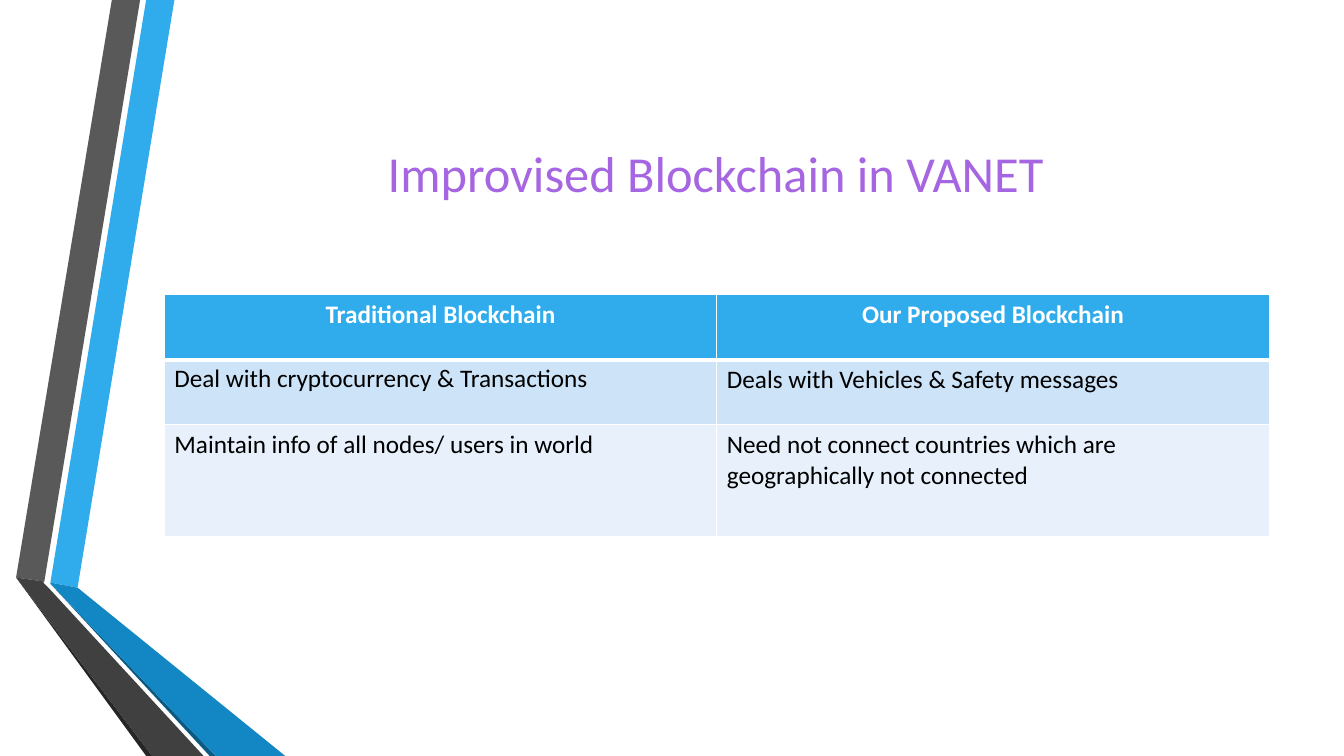
from lxml.etree import SubElement
from pptx import Presentation
from pptx.dml.color import RGBColor
from pptx.enum.text import MSO_ANCHOR as Anchor, MSO_AUTO_SIZE as AutoSize, PP_ALIGN as Align
from pptx.oxml.ns import qn
from pptx.util import Inches, Pt

COLORS = {
    "white": "FFFFFF", "black": "000000", "purple": "A666E1",
    "blue": "30ACEC", "deep_blue": "1287C3", "navy": "0C5A82",
    "gray": "595959", "dark_gray": "404040", "charcoal": "262626",
    "band": "CDE3F8", "pale_band": "E8F1FB",
}

RIBBONS = [
    ("blue", [(0.5, 5.78), (0.77, 5.83), (1.73, 0), (1.45, 0)]),
    ("gray", [(1.39, 0), (1.11, 0), (0.16, 5.73), (0.44, 5.77)]),
    ("charcoal", [(0.16, 5.73), (1.45, 7.5), (1.51, 7.5)]),
    ("navy", [(0.5, 5.79), (2.08, 7.5), (2.14, 7.5)]),
    ("deep_blue", [(0.5, 5.78), (0.5, 5.79), (2.14, 7.5), (2.83, 7.5), (0.77, 5.83)]),
    ("dark_gray", [(2.02, 7.5), (0.48, 5.83), (0.43, 5.78), (0.44, 5.77),
                   (0.16, 5.73), (1.51, 7.5)]),
]

COMPARISON = [
    ("Traditional Blockchain", "Our Proposed Blockchain"),
    ("Deal with cryptocurrency & Transactions", "Deals with Vehicles & Safety messages"),
    ("Maintain info of all nodes/ users in world",
     "Need not connect countries which are geographically not connected"),
]


def rgb(name):
    return RGBColor.from_string(COLORS[name])


class SlideBuilder:
    font_name = "Calibri"

    def __init__(self, prs):
        self.slide = prs.slides.add_slide(prs.slide_layouts[5])

    def style_text(self, paragraph, size, color, bold=False, align=Align.LEFT):
        paragraph.alignment = align
        for run in paragraph.runs:
            run.font.name = self.font_name
            run.font.size = Pt(size)
            run.font.bold = bold
            run.font.color.rgb = rgb(color)

    def title(self, text, left, top, width, height):
        heading = self.slide.shapes.title
        heading.left, heading.top = Inches(left), Inches(top)
        heading.width, heading.height = Inches(width), Inches(height)
        frame = heading.text_frame
        frame.text = text
        frame.word_wrap = True
        frame.auto_size = AutoSize.NONE
        frame.vertical_anchor = Anchor.MIDDLE
        self.style_text(frame.paragraphs[0], 36, "purple", align=Align.CENTER)

    def ribbon(self, color, points):
        corners = [(Inches(x), Inches(y)) for x, y in points]
        outline = self.slide.shapes.build_freeform(*corners[0])
        outline.add_line_segments(corners[1:], close=True)
        band = outline.convert_to_shape()
        band.shadow.inherit = False
        band.fill.solid()
        band.fill.fore_color.rgb = rgb(color)
        band.line.fill.background()

    def cell_borders(self, cell, widths):
        properties = cell._tc.get_or_add_tcPr()
        for side, width in zip("LRTB", widths):
            line = SubElement(properties, qn(f"a:ln{side}"), w=str(Pt(width)))
            fill = SubElement(line, qn("a:solidFill"))
            SubElement(fill, qn("a:srgbClr"), val=COLORS["white"])

    def table(self, rows, left, top, width, row_heights):
        frame = self.slide.shapes.add_table(
            len(rows), len(rows[0]), Inches(left), Inches(top),
            Inches(width), Inches(sum(row_heights)))
        grid = frame.table
        for r, (texts, height) in enumerate(zip(rows, row_heights)):
            grid.rows[r].height = Inches(height)
            header = r == 0
            fill = "blue" if header else ("band" if r % 2 else "pale_band")
            for c, text in enumerate(texts):
                cell = grid.cell(r, c)
                self.cell_borders(cell, (1, 1, 3 if r == 1 else 1, 3 if header else 1))
                cell.fill.solid()
                cell.fill.fore_color.rgb = rgb(fill)
                cell.text_frame.text = text
                self.style_text(cell.text_frame.paragraphs[0], 18,
                                "white" if header else "black", header,
                                Align.CENTER if header else Align.LEFT)
        return grid


def main():
    prs = Presentation()
    prs.slide_width, prs.slide_height = Inches(13.33), Inches(7.5)
    builder = SlideBuilder(prs)
    for color, points in RIBBONS:
        builder.ribbon(color, points)
    builder.title("Improvised Blockchain in VANET", 1.62, 0.75, 10.96, 1.92)
    comparison = builder.table(COMPARISON, 1.63, 2.92, 10.96, (0.65, 0.64, 1.11))
    cryptocurrency = comparison.cell(1, 0).text_frame.paragraphs[0]
    cryptocurrency.line_spacing = 0.9
    cryptocurrency.space_before = Pt(10)
    prs.save("out.pptx")


if __name__ == "__main__":
    main()
